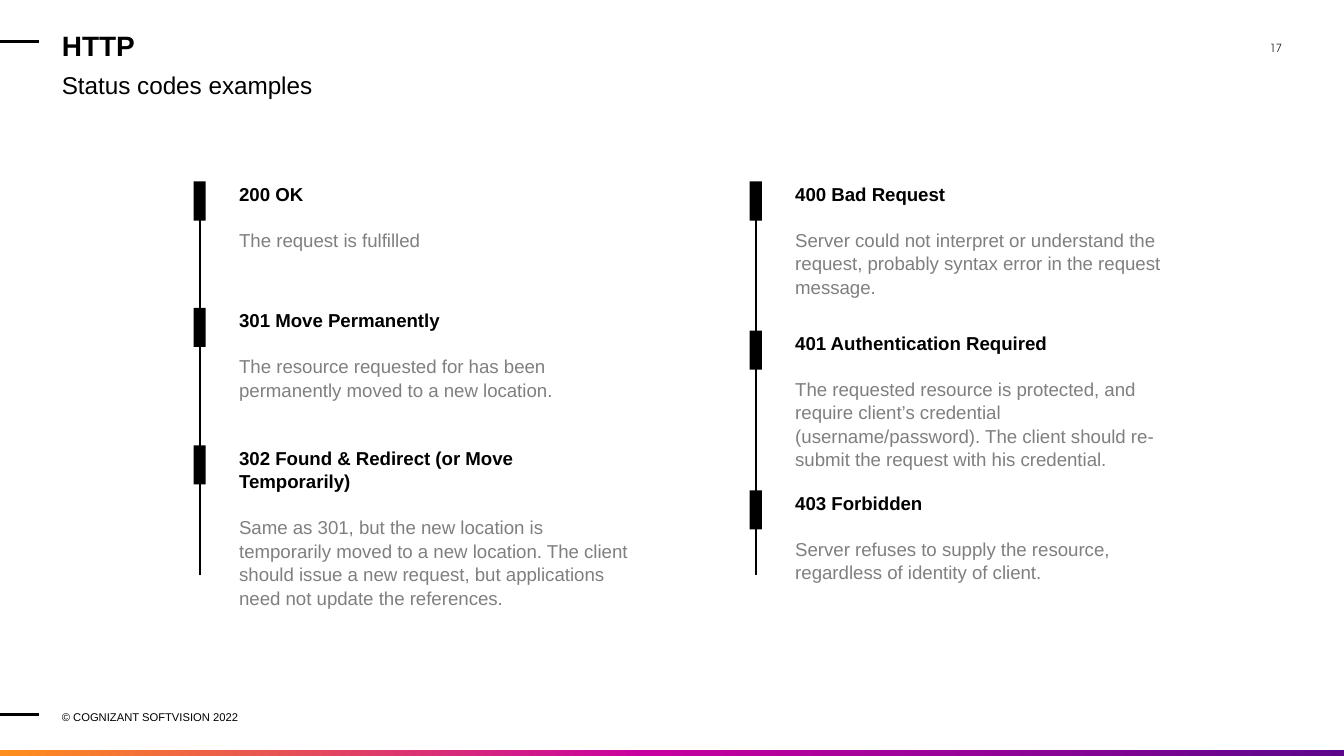
from copy import deepcopy

from pptx import Presentation
from pptx.dml.color import RGBColor
from pptx.enum.shapes import MSO_CONNECTOR, MSO_SHAPE
from pptx.enum.text import MSO_ANCHOR, PP_ALIGN
from pptx.oxml.ns import qn
from pptx.util import Cm, Pt

RECT = MSO_SHAPE.RECTANGLE
LINE = MSO_CONNECTOR.STRAIGHT
TOP, MIDDLE = MSO_ANCHOR.TOP, MSO_ANCHOR.MIDDLE
LEFT, RIGHT = PP_ALIGN.LEFT, PP_ALIGN.RIGHT

COLORS = {
    "black": "000000", "grey": "7F7F7F", "number": "212121",
    "orange": "FF8F1C", "pink": "C800A1", "purple": "5C068C",
}
WIDTH, HEIGHT = 25.4, 14.29
MARGIN = 1.17

# Each column: left edge of its bars, then (top, height, code, meaning)
COLUMNS = [
    (3.66, [
        (3.43, 1.8, "200 OK", "The request is fulfilled"),
        (5.82, 1.8, "301 Move Permanently",
         "The resource requested for has been permanently moved to a new location."),
        (8.42, 3.12, "302 Found & Redirect (or Move Temporarily)",
         "Same as 301, but the new location is temporarily moved to a new location. "
         "The client should issue a new request, but applications need not update "
         "the references."),
    ]),
    (14.17, [
        (3.43, 2.34, "400 Bad Request",
         "Server could not interpret or understand the request, probably syntax "
         "error in the request message."),
        (6.25, 3.38, "401 Authentication Required",
         "The requested resource is protected, and require client’s credential "
         "(username/password). The client should re-submit the request with his "
         "credential."),
        (9.27, 1.57, "403 Forbidden",
         "Server refuses to supply the resource, regardless of identity of client."),
    ]),
]


def rgb(name):
    return RGBColor.from_string(COLORS[name])


def style(para, size, color="black", bold=False, face="Arial"):
    font = para.font
    font.name, font.size, font.bold = face, Pt(size), bold
    font.color.rgb = rgb(color)


def add_frame(slide, x, y, w, h, anchor=TOP, inset=0):
    """Add a wrapping text box and return its text frame."""
    frame = slide.shapes.add_textbox(Cm(x), Cm(y), Cm(w), Cm(h)).text_frame
    frame.word_wrap = True
    frame.vertical_anchor = anchor
    frame.margin_left = Cm(inset)
    frame.margin_right = frame.margin_top = frame.margin_bottom = 0
    return frame


def add_label(slide, text, box, size, anchor=MIDDLE, align=LEFT, **look):
    para = add_frame(slide, *box, anchor=anchor).paragraphs[0]
    para.text = text
    para.alignment = align
    style(para, size, **look)


def add_line(slide, x1, y1, x2, y2, width):
    line = slide.shapes.add_connector(LINE, Cm(x1), Cm(y1), Cm(x2), Cm(y2))
    line.line.color.rgb = rgb("black")
    line.line.width = Pt(width)
    props = line._element.spPr
    props.append(props.makeelement(qn("a:effectLst"), {}))


def add_rect(slide, x, y, w, h):
    """Add a black rectangle without outline."""
    rect = slide.shapes.add_shape(RECT, Cm(x), Cm(y), Cm(w), Cm(h))
    rect.shadow.inherit = False
    rect.line.fill.background()
    rect.fill.solid()
    rect.fill.fore_color.rgb = rgb("black")
    return rect


def add_strip(slide):
    """Add the three-colour strip along the bottom edge."""
    fill = add_rect(slide, 0, HEIGHT - 0.11, WIDTH, 0.11).fill
    fill.gradient()
    fill.gradient_angle = 0
    first = fill.gradient_stops[0]._gs
    first.addnext(deepcopy(first))
    marks = [("orange", 0), ("pink", 0.48), ("purple", 1)]
    for stop, (color, place) in zip(fill.gradient_stops, marks):
        stop.color.rgb = rgb(color)
        stop.position = place


def add_code(slide, x, y, h, code, meaning):
    """Add one status code: its bar, heading and meaning."""
    add_rect(slide, x, y, 0.23, 0.74)
    frame = add_frame(slide, x + 0.61, y, 7.61, h, inset=0.25)
    head, body = frame.paragraphs[0], frame.add_paragraph()
    head.text, body.text = code, meaning
    head.line_spacing = body.line_spacing = 1.05
    body.space_before = Pt(12)
    style(head, 10, bold=True)
    style(body, 10, "grey")


def main():
    deck = Presentation()
    deck.slide_width, deck.slide_height = Cm(WIDTH), Cm(HEIGHT)
    slide = deck.slides.add_slide(deck.slide_layouts[6])

    add_label(slide, "17", (22.71, 0.79, 1.52, 1.09), 6, anchor=TOP, align=RIGHT,
              color="number", face="TeX Gyre Adventor")
    add_label(slide, "© COGNIZANT SOFTVISION 2022", (MARGIN, 13.34, 5.64, 0.41), 6)
    for y in (0.78, 13.51):
        add_line(slide, 0, y, 0.74, y, 1.5)
    add_strip(slide)

    add_label(slide, "HTTP", (MARGIN, 0.48, 20.37, 0.74), 15, bold=True)
    add_label(slide, "Status codes examples", (MARGIN, 1.37, 23.06, 0.46), 13)

    for x, codes in COLUMNS:
        add_line(slide, x + 0.12, 3.73, x + 0.12, 10.87, 0.75)
        for y, h, code, meaning in codes:
            add_code(slide, x, y, h, code, meaning)

    deck.save("out.pptx")


if __name__ == "__main__":
    main()
